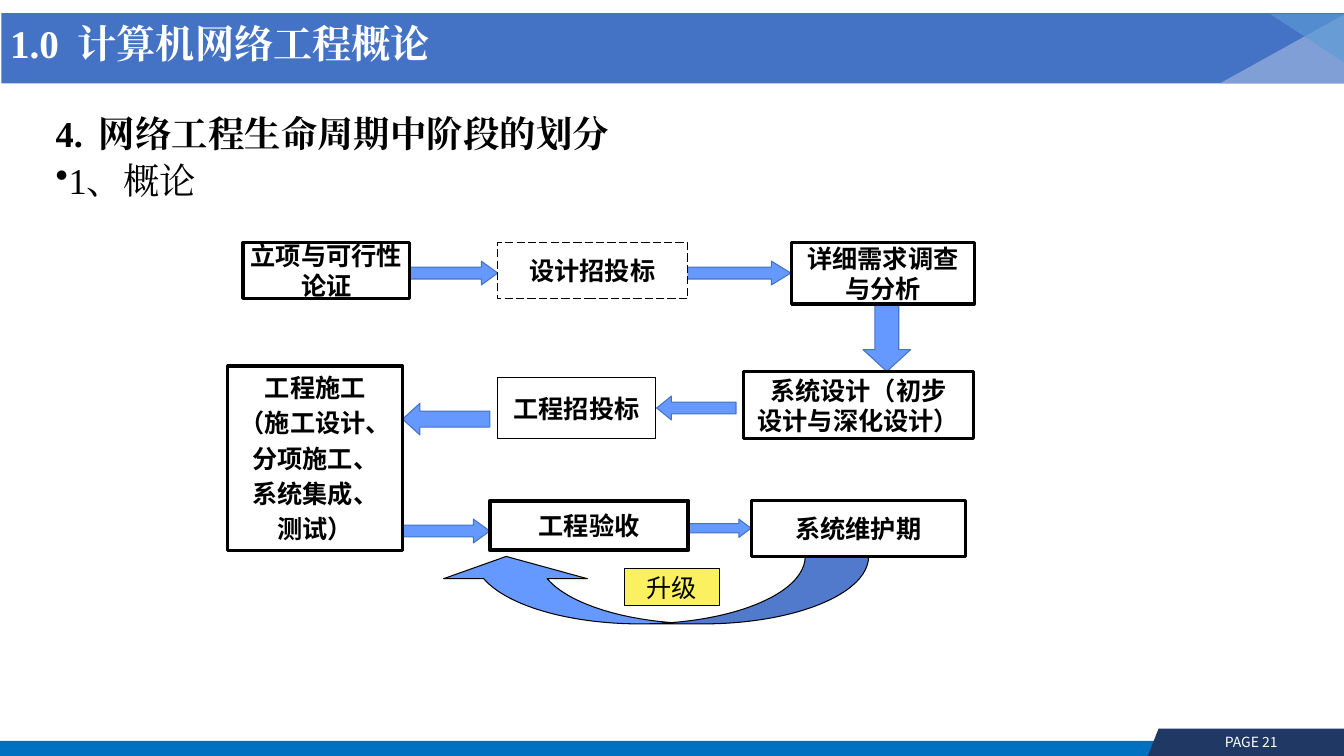
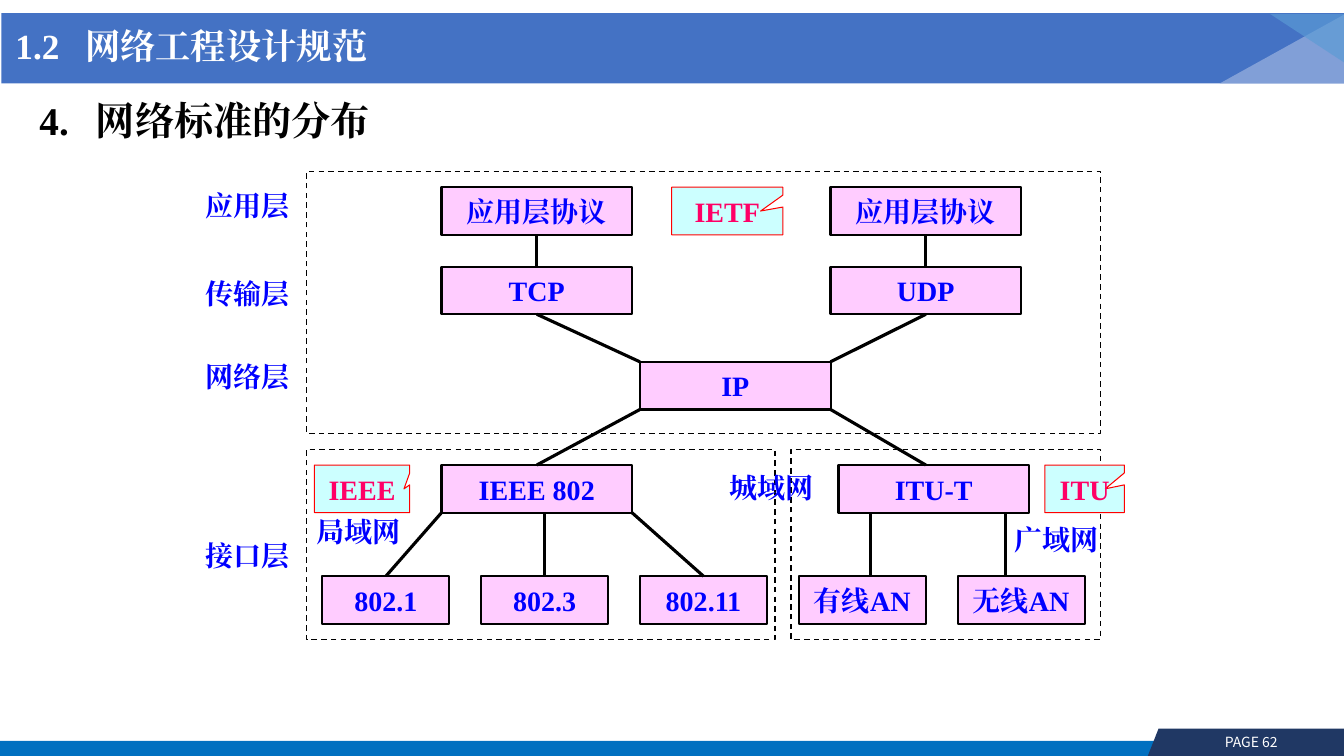
from dataclasses import dataclass
from typing import Any, NamedTuple

import lxml.etree
import pptx
import pptx.dml.color
import pptx.enum.dml
import pptx.enum.shapes
import pptx.enum.text
import pptx.oxml.ns
import pptx.util

SHAPE = pptx.enum.shapes.MSO_SHAPE
DASH = pptx.enum.dml.MSO_LINE
ALIGN = pptx.enum.text.PP_ALIGN
ANCHOR = pptx.enum.text.MSO_ANCHOR
qn = pptx.oxml.ns.qn
Pt = pptx.util.Pt
WIDTH, HEIGHT = 13.33, 7.5


class Type(NamedTuple):
    size: float
    color: str
    bold: bool = True
    font: str = "Times New Roman"


class Stroke(NamedTuple):
    color: str
    width: float
    dash: Any = None


class Theme:
    band, footer, page_tab = "4472C4", "0070C0", "203864"
    facet_pale, facet_sky = "8FAADC", "5B9BD5"
    white, arrow, upgrade = "FFFFFF", "6699FF", "FBF05F"
    protocol, body = "FFCCFF", "CCFFFF"
    title, title_small = Type(28, "FFFFFF"), Type(25.2, "FFFFFF")
    heading, heading_large = Type(26, "000000"), Type(28, "000000")
    point = Type(26, "000000", False)
    page = Type(10, "FFFFFF", False, "Noto Sans CJK SC")
    stage = Type(18, "000000", True, "Roboto")
    stage_light = Type(18, "000000", False, "Roboto")
    label, body_name = Type(20, "0000FF"), Type(20, "FF0066")
    thin, medium, thick = (Stroke("000000", w) for w in (0.75, 2.25, 3))
    optional = Stroke("000000", 0.75, DASH.LONG_DASH)
    arrow_edge = Stroke("4472C4", 0.75)
    protocol_edge, body_edge = Stroke("000000", 1.5), Stroke("FF0000", 0.75)
    zone = Stroke("000000", 1, DASH.DASH)


class Cells(NamedTuple):
    col: float
    row: float
    cols: float
    rows: float


@dataclass(frozen=True)
class Grid:
    """A grid of cells; lengths are in inches."""
    left: float
    top: float
    col_width: float
    row_height: float

    def point(self, col: float, row: float) -> tuple[int, int]:
        return (pptx.util.Inches(self.left + col * self.col_width),
                pptx.util.Inches(self.top + row * self.row_height))

    def area(self, cells: Cells) -> tuple[int, int, int, int]:
        x, y = self.point(cells.col, cells.row)
        right, bottom = self.point(cells.col + cells.cols, cells.row + cells.rows)
        return x, y, right - x, bottom - y


CELL = 0.1575
PERCENT = Grid(0, 0, WIDTH / 100, HEIGHT / 100)
CYCLE = Grid(2.26, 2.41, CELL, CELL)
LAYERS = Grid(3.04, 1.7, CELL, CELL)


@dataclass(frozen=True)
class Stage:
    lines: tuple[str, ...]
    cells: Cells
    stroke: Stroke = Theme.medium
    fill: str = Theme.white
    type: Type = Theme.stage
    gap: float = 0


class Arrow(NamedTuple):
    preset: Any
    cells: Cells
    head: float


class Link(NamedTuple):
    start: tuple[float, float]
    end: tuple[float, float]
    above: str = ""  # protocol joined at its bottom middle
    below: str = ""  # protocol joined at its top middle


STAGES = (
    Stage(("立项与可行性", "论证"), Cells(0.95, 0, 10.5, 3.5)),
    Stage(("设计招投标",), Cells(16.95, 0, 12, 3.5), Theme.optional),
    Stage(("详细需求调查", "与分析"), Cells(35.5, 0, 11.5, 3.85)),
    Stage(("系统设计（初步", "设计与深化设计）"), Cells(32.45, 8.1, 14.5, 4.25)),
    Stage(("工程招投标",), Cells(16.95, 8.5, 10, 3.85), Theme.thin),
    Stage(("工程施工", "（施工设计、", "分项施工、", "系统集成、", "测试）"),
          Cells(0, 7.75, 11, 11.6), gap=3.6),
    Stage(("工程验收",), Cells(16.5, 16.25, 12.5, 3.1), Theme.thick),
    Stage(("系统维护期",), Cells(32.95, 16.25, 13.5, 3.5)),
)
UPGRADE = Stage(("升级",), Cells(24.95, 20.5, 6, 2.35), Theme.thin, Theme.upgrade,
                Theme.stage_light)
ARROWS = (
    Arrow(SHAPE.RIGHT_ARROW, Cells(11.5, 1.15, 5.5, 1.5), 0.69),
    Arrow(SHAPE.RIGHT_ARROW, Cells(28.95, 1.15, 6.5, 1.5), 0.81),
    Arrow(SHAPE.DOWN_ARROW, Cells(40, 3.85, 3, 4.25), 0.46),
    Arrow(SHAPE.LEFT_ARROW, Cells(27, 9.65, 5, 1.5), 0.62),
    Arrow(SHAPE.LEFT_ARROW, Cells(11, 10.1, 5.5, 2), 0.55),
    Arrow(SHAPE.RIGHT_ARROW, Cells(11, 17.4, 5.5, 1.5), 0.69),
    Arrow(SHAPE.RIGHT_ARROW, Cells(28.95, 17.4, 4, 1.15), 0.67),
)

# Protocols by key: text and cells; the access row is evenly spaced
PROTOCOLS = {
    "app_tcp": ("应用层协议", Cells(8.5, 1, 12, 3)),
    "app_udp": ("应用层协议", Cells(33, 1, 12, 3)),
    "tcp": ("TCP", Cells(8.5, 6, 12, 3)),
    "udp": ("UDP", Cells(33, 6, 12, 3)),
    "ip": ("IP", Cells(21, 12, 12, 3)),
    "lan": ("IEEE 802", Cells(8.5, 18.5, 12, 3)),
    "wan": ("ITU-T", Cells(33.5, 18.5, 12, 3)),
} | {name: (name, Cells(1 + 10 * i, 25.5, 8, 3))
     for i, name in enumerate(("802.1", "802.3", "802.11", "有线AN", "无线AN"))}
LINKS = (
    Link((14.5, 4), (14.5, 6), "app_tcp", "tcp"),
    Link((39, 4), (39, 6), "app_udp", "udp"),
    Link((14.5, 9), (21, 12), above="tcp"),
    Link((39, 9), (33, 12), above="udp"),
    Link((21, 15), (14.5, 18.5), below="lan"),
    Link((33, 15), (39, 18.5)),
    Link((15, 21.5), (15, 25.5), below="802.3"),
    Link((8.5, 21.5), (5, 25.5), below="802.1"),
    Link((20.5, 21.5), (25, 25.5), below="802.11"),
    Link((35.5, 21.5), (35.5, 25.5)),
    Link((44, 21.5), (44, 25.5)),
)
ZONES = (Cells(0, 17.5, 29.5, 12), Cells(30.5, 17.5, 19.5, 12), Cells(0, 0, 50, 16.5))
BODIES = (("IEEE", Cells(0.5, 18.5, 6, 3), 0.44), ("ITU", Cells(46.5, 18.5, 5, 3), 0.26),
          ("IETF", Cells(23, 1, 7, 3), 0.3))
LABELS = (("局域网", 0, 21.3), ("广域网", 43.95, 21.8), ("城域网", 26, 18.5),
          ("接口层", -7, 22.8), ("网络层", -7, 11.55), ("传输层", -7, 6.3),
          ("应用层", -7, 0.75))


def rgb(color: str) -> pptx.dml.color.RGBColor:
    return pptx.dml.color.RGBColor.from_string(color)


def apply(target: Any, values: dict[str, Any]) -> None:
    for name, value in values.items():
        setattr(target, name, value)


def write(paragraph: Any, text: str, style: Type, **layout: Any) -> None:
    """Add one run; East Asian letters follow the same font."""
    apply(paragraph, layout)
    run = paragraph.add_run()
    run.text = text
    apply(run.font, {"size": Pt(style.size), "bold": style.bold, "name": style.font})
    run.font.color.rgb = rgb(style.color)
    properties = run._r.get_or_add_rPr()
    properties.set("lang", "zh-CN")
    lxml.etree.SubElement(properties, qn("a:ea")).set("typeface", style.font)


def hang(paragraph: Any, inches: float) -> None:
    properties = paragraph._p.get_or_add_pPr()
    properties.set("marL", str(pptx.util.Inches(inches)))
    properties.set("indent", str(-pptx.util.Inches(inches)))


def set_stroke(line: Any, stroke: Stroke) -> None:
    line.color.rgb = rgb(stroke.color)
    line.width = Pt(stroke.width)
    if stroke.dash:
        line.dash_style = stroke.dash


def paint(shape: Any, fill: str = "", stroke: Stroke | None = None) -> None:
    shape.shadow.inherit = False
    if fill:
        shape.fill.solid()
        shape.fill.fore_color.rgb = rgb(fill)
    else:
        shape.fill.background()
    if stroke:
        set_stroke(shape.line, stroke)
    else:
        shape.line.fill.background()


def draw(slide: Any, preset: Any, grid: Grid, cells: Cells, fill: str = "",
         stroke: Stroke | None = None, adjust: tuple[float, ...] = ()) -> Any:
    shape = slide.shapes.add_shape(preset, *grid.area(cells))
    for i, value in enumerate(adjust):
        shape.adjustments[i] = value
    paint(shape, fill, stroke)
    return shape


def caption(shape: Any, lines: tuple[str, ...], style: Type, gap: float = 0) -> None:
    frame = shape.text_frame
    apply(frame, {"word_wrap": False, "vertical_anchor": ANCHOR.MIDDLE})
    for i, line in enumerate(lines):
        paragraph = frame.add_paragraph() if i else frame.paragraphs[0]
        write(paragraph, line, style, alignment=ALIGN.CENTER,
              space_before=Pt(gap if i else 0))


def text_box(slide: Any, grid: Grid, cells: Cells, wrap: bool) -> Any:
    frame = slide.shapes.add_textbox(*grid.area(cells)).text_frame
    frame.word_wrap = wrap
    return frame


def furnish_layout(slide: Any, layout: Any) -> None:
    """Draw the bands and corner facets and hand them to the layout."""
    tab = slide.shapes.build_freeform(*PERCENT.point(86.2, 96.4))
    tab.add_line_segments([PERCENT.point(*p) for p in ((100, 96.4), (100, 100), (85.4, 100))])
    footer = draw(slide, SHAPE.RECTANGLE, PERCENT, Cells(0, 98, 100, 2), Theme.footer)
    page_tab = tab.convert_to_shape()
    paint(page_tab, Theme.page_tab)
    parts = [footer, page_tab,
             draw(slide, SHAPE.RECTANGLE, PERCENT, Cells(0.1, 1.75, 99.9, 9.3), Theme.band)]
    for cells, color, alpha, flips in (
            (Cells(90.75, 1.95, 9.25, 9.1), Theme.facet_pale, 82, ("flipH",)),
            (Cells(94.5, 1.85, 5.5, 6.4), Theme.facet_sky, 67, ("flipH", "flipV"))):
        facet = draw(slide, SHAPE.ISOSCELES_TRIANGLE, PERCENT, cells, color, adjust=(0,))
        for flip in flips:
            facet.element.spPr.xfrm.set(flip, "1")
        tint = facet.element.spPr.find(f"{qn('a:solidFill')}/{qn('a:srgbClr')}")
        lxml.etree.SubElement(tint, qn("a:alpha")).set("val", str(alpha * 1000))
        parts.append(facet)
    for number, part in enumerate(parts, start=101):
        part.element.nvSpPr.cNvPr.set("id", str(number))
        layout.shapes.element.append(part.element)


def start_slide(deck: Any, title: str, style: Type, cells: Cells, indent: float,
                page: int) -> Any:
    slide = deck.slides.add_slide(deck.slide_layouts[5])
    heading = slide.shapes.title
    apply(heading, dict(zip(("left", "top", "width", "height"), PERCENT.area(cells))))
    apply(heading.text_frame, {"auto_size": pptx.enum.text.MSO_AUTO_SIZE.NONE,
                               "vertical_anchor": ANCHOR.MIDDLE, "word_wrap": True})
    hang(heading.text_frame.paragraphs[0], indent)
    write(heading.text_frame.paragraphs[0], title, style, alignment=ALIGN.LEFT)
    number = text_box(slide, PERCENT, Cells(90.15, 96.4, 5.9, 3.6), False)
    write(number.paragraphs[0], f"PAGE {page}", Theme.page, alignment=ALIGN.CENTER)
    return slide


def section(slide: Any, text: str, style: Type, cells: Cells, indent: float) -> Any:
    frame = text_box(slide, PERCENT, cells, True)
    hang(frame.paragraphs[0], indent)
    write(frame.paragraphs[0], text, style, line_spacing=0.9, space_after=Pt(style.size / 5))
    return frame


def draw_cycle(slide: Any) -> None:
    frame = section(slide, "4.\t网络工程生命周期中阶段的划分", Theme.heading,
                    Cells(3.4, 14.7, 92.7, 13), 0.43)
    point = frame.add_paragraph()
    lxml.etree.SubElement(point._p.get_or_add_pPr(), qn("a:buChar")).set("char", "•")
    write(point, "1、概论", Theme.point, line_spacing=0.9)
    for arrow in ARROWS:
        draw(slide, arrow.preset, CYCLE, arrow.cells, Theme.arrow, Theme.arrow_edge,
             (0.5, arrow.head))
    # Return from maintenance to acceptance
    loop = draw(slide, SHAPE.CURVED_LEFT_ARROW, CYCLE, Cells(24.55, 8.2, 4.25, 27.35),
                Theme.arrow, Theme.thin, (0.94, 2.13, 0.33))
    loop.rotation = 90
    for stage in (*STAGES, UPGRADE):
        box = draw(slide, SHAPE.RECTANGLE, CYCLE, stage.cells, stage.fill, stage.stroke)
        caption(box, stage.lines, stage.type, stage.gap)


def draw_layers(slide: Any) -> None:
    section(slide, "4.\t网络标准的分布", Theme.heading_large, Cells(2.2, 12.8, 69.7, 7.3), 0.56)
    boxes = {}
    for key, (text, cells) in PROTOCOLS.items():
        boxes[key] = draw(slide, SHAPE.FLOWCHART_PROCESS, LAYERS, cells, Theme.protocol,
                          Theme.protocol_edge)
        caption(boxes[key], (text,), Theme.label)
    for link in LINKS:
        line = slide.shapes.add_connector(pptx.enum.shapes.MSO_CONNECTOR.STRAIGHT,
                                          *LAYERS.point(*link.start), *LAYERS.point(*link.end))
        if link.above:
            line.begin_connect(boxes[link.above], 2)
        if link.below:
            line.end_connect(boxes[link.below], 0)
        set_stroke(line.line, Theme.medium)
        lxml.etree.SubElement(line.element.spPr, qn("a:effectLst"))
    for cells in ZONES:
        draw(slide, SHAPE.RECTANGLE, LAYERS, cells, stroke=Theme.zone)
    # Standards bodies and layer names
    for name, cells, tip in BODIES:
        caption(draw(slide, SHAPE.RECTANGULAR_CALLOUT, LAYERS, cells, Theme.body,
                     Theme.body_edge, (tip, 0)), (name,), Theme.body_name)
    for text, col, row in LABELS:
        label = text_box(slide, LAYERS, Cells(col, row, 6.65, 2.8), False)
        write(label.paragraphs[0], text, Theme.label)


def main() -> None:
    deck = pptx.Presentation()
    apply(deck, {"slide_width": pptx.util.Inches(WIDTH), "slide_height": pptx.util.Inches(HEIGHT)})
    cycle = start_slide(deck, "1.0\t计算机网络工程概论", Theme.title,
                        Cells(0, 1.7, 86.25, 7.9), 0.67, 21)
    furnish_layout(cycle, deck.slide_layouts[5])
    draw_cycle(cycle)
    layers = start_slide(deck, "1.2\t网络工程设计规范", Theme.title_small,
                         Cells(0.4, 2.4, 86.25, 7.3), 0.69, 62)
    draw_layers(layers)
    deck.save("out.pptx")


if __name__ == "__main__":
    main()
